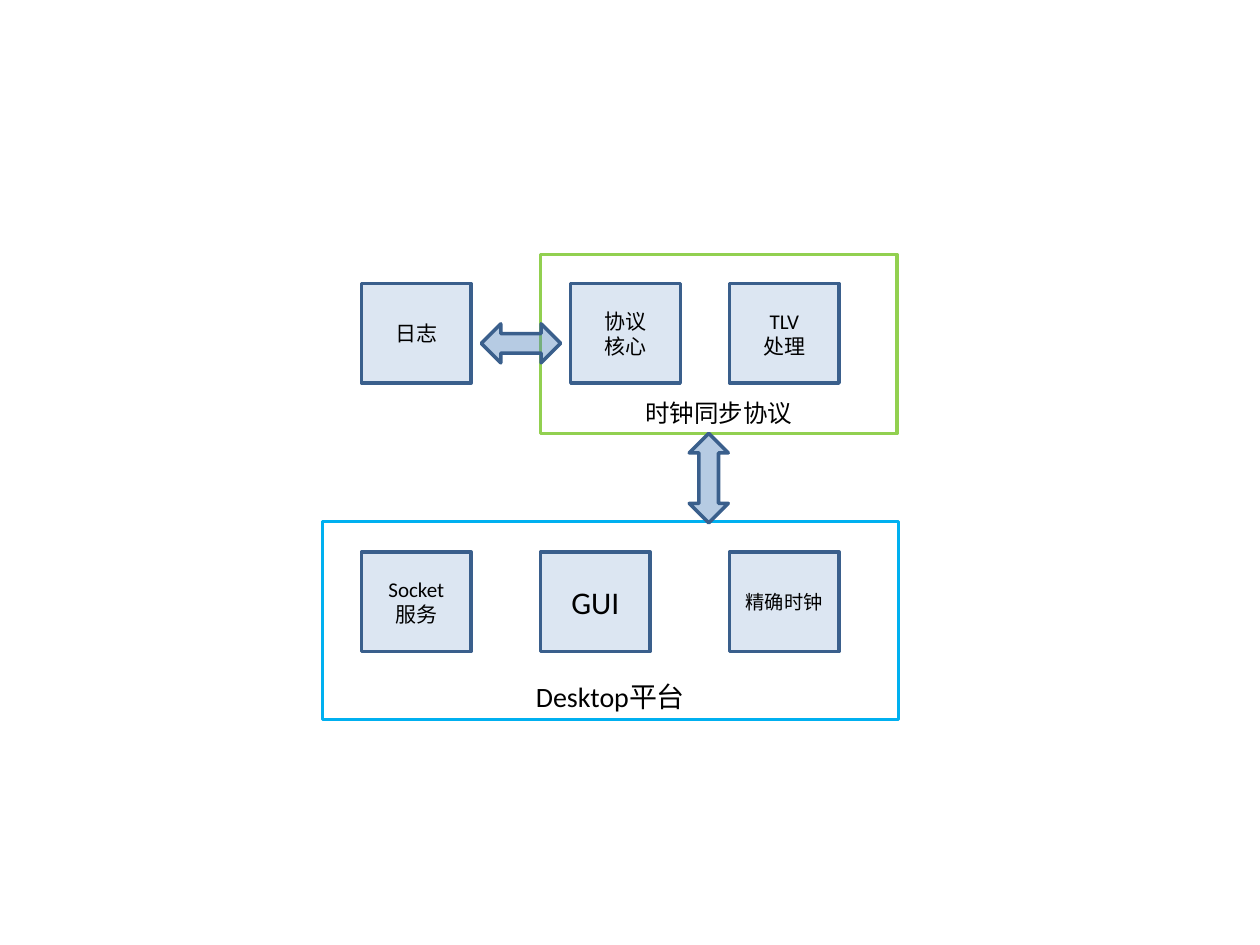
from dataclasses import dataclass

import pptx
import pptx.dml.color
import pptx.enum.shapes
import pptx.enum.text
import pptx.oxml
import pptx.oxml.ns
import pptx.util
from pptx.util import Inches

COLORS = {
    "text": "000000",
    "module": "DCE6F2",
    "outline": "3A5F8C",
    "arrow": "4F81BD",
    "platform": "00B0F0",
    "protocol": "92D050",
}
FONT = "Calibri"
SHAPE = pptx.enum.shapes.MSO_SHAPE
ANCHOR = pptx.enum.text.MSO_ANCHOR

MODULE_W, MODULE_H = 0.87, 0.79
UPPER_ROW, LOWER_ROW = 2.25, 4.38
LEFT_COL, GUI_COL, CORE_COL, RIGHT_COL = 2.87, 4.29, 4.53, 5.79


@dataclass(frozen=True)
class Group:
    text: str
    left: float
    top: float
    width: float
    height: float
    color: str
    size: int


@dataclass(frozen=True)
class Module:
    text: str
    left: float
    top: float
    size: int = 12


@dataclass(frozen=True)
class Arrow:
    kind: SHAPE
    left: float
    top: float
    width: float
    height: float


PLATFORM = Group("Desktop平台", 2.56, 4.14, 4.57, 1.57, "platform", 16)
PROTOCOL = Group("时钟同步协议", 4.29, 2.02, 2.83, 1.42, "protocol", 14)
MODULES = [
    Module("Socket\n服务", LEFT_COL, LOWER_ROW),
    Module("GUI", GUI_COL, LOWER_ROW, 18),
    Module("精确时钟", RIGHT_COL, LOWER_ROW, 11),
    Module("协议\n核心", CORE_COL, UPPER_ROW),
    Module("TLV\n处理", RIGHT_COL, UPPER_ROW),
    Module("日志", LEFT_COL, UPPER_ROW),
]
ARROWS = [
    Arrow(SHAPE.UP_DOWN_ARROW, 5.47, 3.44, 0.31, 0.71),
    Arrow(SHAPE.LEFT_RIGHT_ARROW, 3.82, 2.57, 0.63, 0.31),
]


def rgb(name: str) -> pptx.dml.color.RGBColor:
    return pptx.dml.color.RGBColor.from_string(COLORS[name])


def add_shape(s, kind, left, top, width, height, *, line, fill=None, alpha=None):
    """Add an outlined shape; alpha is the fill opacity in percent."""
    sp = s.shapes.add_shape(
        kind, Inches(left), Inches(top), Inches(width), Inches(height)
    )
    sp.shadow.inherit = False
    sp.line.color.rgb = rgb(line)
    sp.line.width = pptx.util.Pt(2)
    if fill is None:
        sp.fill.background()
        return sp
    sp.fill.solid()
    sp.fill.fore_color.rgb = rgb(fill)
    if alpha is not None:
        qn = pptx.oxml.ns.qn
        clr = sp.fill._xPr.find(qn("a:solidFill")).find(qn("a:srgbClr"))
        clr.append(pptx.oxml.parse_xml(
            f'<a:alpha {pptx.oxml.ns.nsdecls("a")} val="{alpha * 1000}"/>'
        ))
    return sp


def set_text(sp, text: str, *, size: int, anchor=ANCHOR.MIDDLE) -> None:
    tf = sp.text_frame
    tf.word_wrap = True
    tf.vertical_anchor = anchor
    tf.text = text
    for p in tf.paragraphs:
        p.alignment = pptx.enum.text.PP_ALIGN.CENTER
        for r in p.runs:
            r.font.name = FONT
            r.font.size = pptx.util.Pt(size)
            r.font.color.rgb = rgb("text")


def draw_group(s, g: Group) -> None:
    sp = add_shape(s, SHAPE.RECTANGLE, g.left, g.top, g.width, g.height, line=g.color)
    set_text(sp, g.text, size=g.size, anchor=ANCHOR.BOTTOM)


def draw_module(s, m: Module) -> None:
    sp = add_shape(s, SHAPE.RECTANGLE, m.left, m.top, MODULE_W, MODULE_H,
                   line="outline", fill="module")
    set_text(sp, m.text, size=m.size)


def draw_arrow(s, a: Arrow) -> None:
    add_shape(s, a.kind, a.left, a.top, a.width, a.height,
              line="outline", fill="arrow", alpha=41)


def main() -> None:
    prs = pptx.Presentation()
    prs.slide_width, prs.slide_height = Inches(10), Inches(7.5)
    s = prs.slides.add_slide(prs.slide_layouts.get_by_name("Blank"))
    draw_group(s, PLATFORM)
    for module in MODULES:
        draw_module(s, module)
    draw_group(s, PROTOCOL)
    for arrow in ARROWS:
        draw_arrow(s, arrow)
    prs.save("out.pptx")


if __name__ == "__main__":
    main()
